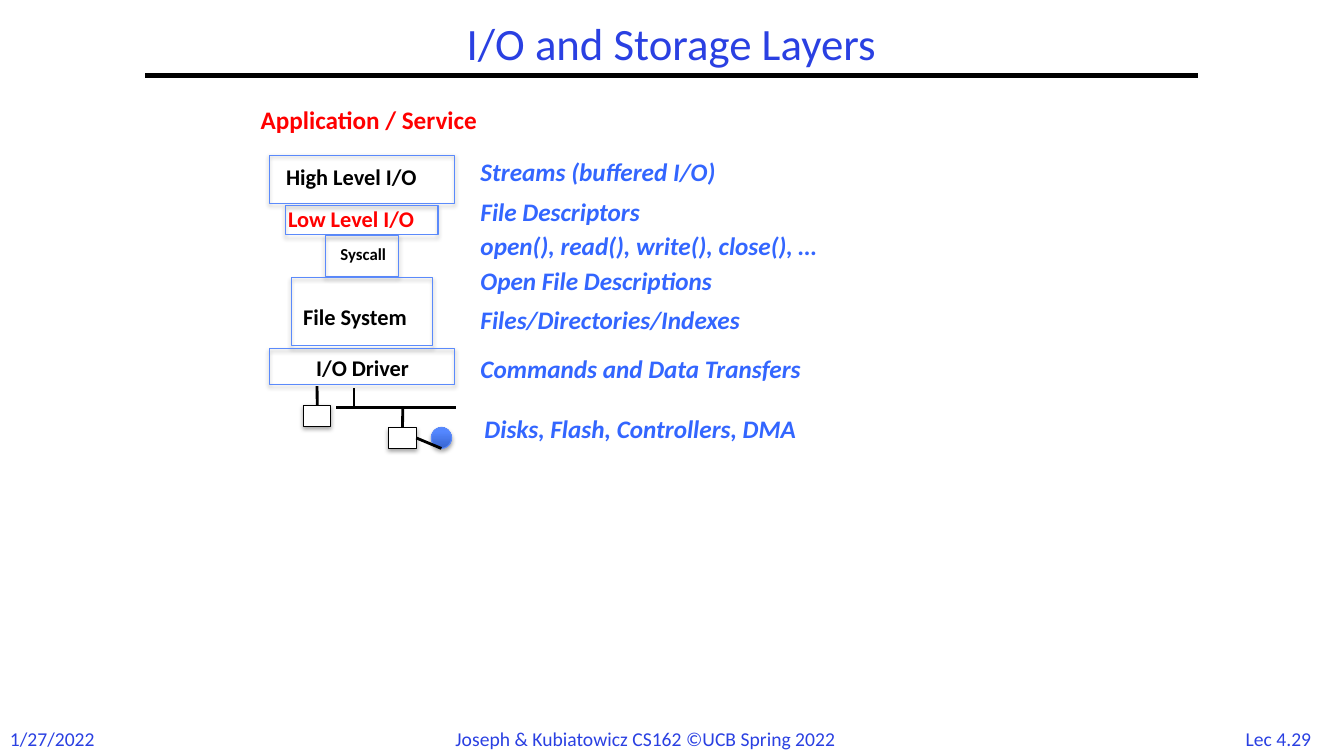
from dataclasses import dataclass

from lxml.etree import SubElement
from pptx import Presentation
from pptx.dml.color import RGBColor
from pptx.enum.shapes import MSO_CONNECTOR, MSO_SHAPE
from pptx.enum.text import MSO_ANCHOR, PP_ALIGN
from pptx.oxml.ns import qn
from pptx.util import Cm, Pt


@dataclass(frozen=True)
class Theme:
    font: str = "Calibri"
    heading: str = "2A40E2"
    ink: str = "000000"
    accent: str = "FF0000"
    note: str = "3366FF"
    outline: str = "5B8AFB"
    paper: str = "FFFFFF"
    disk_dark: str = "3764CE"
    disk_light: str = "5487FF"
    title_size: int = 32
    note_size: int = 18
    layer_size: int = 16
    footer_size: int = 14
    small_size: int = 12


def write(frame, text, *, theme, size, color, bold=False, italic=False,
          align=PP_ALIGN.LEFT, anchor=MSO_ANCHOR.TOP, spacing=1.0):
    frame.word_wrap = True
    frame.vertical_anchor = anchor
    paragraph = frame.paragraphs[0]
    paragraph.text = text
    paragraph.alignment = align
    paragraph.line_spacing = spacing
    font = paragraph.runs[0].font
    font.name = theme.font
    font.size = Pt(size)
    font.bold = bold
    font.italic = italic
    font.color.rgb = RGBColor.from_string(color)


class LayerSlide:
    def __init__(self, deck, theme):
        self.theme = theme
        self.slide = deck.slides.add_slide(deck.slide_layouts[5])

    def title(self, text, left, top, width, height):
        heading = self.slide.shapes.title
        heading.left, heading.top = Cm(left), Cm(top)
        heading.width, heading.height = Cm(width), Cm(height)
        write(heading.text_frame, text, theme=self.theme, size=self.theme.title_size,
              color=self.theme.heading, align=PP_ALIGN.CENTER,
              anchor=MSO_ANCHOR.MIDDLE, spacing=0.9)

    def text(self, text, left, top, width, height=1.0, **style):
        box = self.slide.shapes.add_textbox(Cm(left), Cm(top), Cm(width), Cm(height))
        write(box.text_frame, text, theme=self.theme, **style)

    def block(self, left, top, width, height, line, fill=None, kind=MSO_SHAPE.RECTANGLE):
        block = self.slide.shapes.add_shape(kind, Cm(left), Cm(top), Cm(width), Cm(height))
        if fill is None:
            block.fill.background()
        elif isinstance(fill, tuple):
            block.fill.gradient()
            block.fill.gradient_angle = 90
            for stop, (position, color) in zip(block.fill.gradient_stops, fill):
                stop.position = position
                stop.color.rgb = RGBColor.from_string(color)
        else:
            block.fill.solid()
            block.fill.fore_color.rgb = RGBColor.from_string(fill)
        block.line.color.rgb = RGBColor.from_string(line)
        block.line.width = Pt(0.75)
        self.soft_shadow(block)
        return block

    def soft_shadow(self, block):
        block.shadow.inherit = False
        effects = block.element.spPr.find(qn("a:effectLst"))
        shadow = SubElement(effects, qn("a:outerShdw"), blurRad=str(Pt(3.1)),
                            dist=str(Pt(1.8)), dir="5400000", rotWithShape="0")
        color = SubElement(shadow, qn("a:srgbClr"), val=self.theme.ink)
        SubElement(color, qn("a:alpha"), val="35000")

    def line(self, x1, y1, x2, y2, weight=2, begin=None, end=None):
        line = self.slide.shapes.add_connector(
            MSO_CONNECTOR.STRAIGHT, Cm(x1), Cm(y1), Cm(x2), Cm(y2))
        line.line.color.rgb = RGBColor.from_string(self.theme.ink)
        line.line.width = Pt(weight)
        SubElement(line.element.spPr, qn("a:effectLst"))
        if begin:
            line.begin_connect(*begin)
        if end:
            line.end_connect(*end)


def main():
    theme = Theme()
    deck = Presentation()
    deck.slide_width, deck.slide_height = Cm(33.87), Cm(19.05)
    page = LayerSlide(deck, theme)

    page.title("I/O and Storage Layers", 3.66, 0.43, 26.52, 1.47)
    page.line(3.66, 1.9, 30.2, 1.9, weight=3)

    footers = [
        ("1/27/2022", 0, 2.72, PP_ALIGN.LEFT),
        ("Joseph & Kubiatowicz CS162 ©UCB Spring 2022", 11.23, 11.43, PP_ALIGN.LEFT),
        ("Lec 4.29", 30.99, 2.46, PP_ALIGN.CENTER),
    ]
    for text, left, width, align in footers:
        page.text(text, left, 18.19, width, 0.85, size=theme.footer_size,
                  color=theme.heading, align=align)

    page.text("Application / Service", 6.32, 2.51, 6.81,
              size=theme.note_size, color=theme.accent, bold=True)

    stack_center = 9.12
    layers = [
        ("High Level I/O", 6.96, 3.99, theme.layer_size, theme.ink, 3.91, 4.67, 1.22),
        ("Low Level I/O", 7.01, 5.05, theme.layer_size, theme.accent, 5.18, 3.84, 0.74),
        ("Syscall", 8.33, 6.02, theme.small_size, theme.ink, 5.94, 1.85, 1.02),
        ("File System", 7.39, 7.52, theme.layer_size, theme.ink, 6.99, 3.56, 1.73),
        ("I/O Driver", 7.72, 8.79, theme.layer_size, theme.ink, 8.79, 4.67, 0.89),
    ]
    for name, left, label_top, size, color, top, width, height in layers:
        page.block(stack_center - width / 2, top, width, height, theme.outline)
        page.text(name, left, label_top, 4.4, 0.94, size=size, color=color, bold=True)

    device = (0.69, 0.53)
    direct_device = page.block(7.65, 10.21, *device, theme.ink, theme.paper)
    controller = page.block(9.8, 10.77, *device, theme.ink, theme.paper)
    disk = page.block(10.87, 10.77, 0.51, 0.53, theme.outline,
                      ((0, theme.disk_dark), (0.8, theme.disk_light)), MSO_SHAPE.OVAL)

    bus = 10.26
    page.line(8.48, bus, 11.48, bus)
    page.line(8.92, 9.78, 8.92, bus)
    page.line(7.99, 9.73, 7.99, 10.21, end=(direct_device, 0))
    page.line(10.15, bus, 10.15, 10.77, end=(controller, 0))
    page.line(10.49, 11.04, 10.87, 11.04, begin=(controller, 3), end=(disk, 2))

    notes = [
        ("Streams (buffered I/O)", 11.86, 3.81),
        ("File Descriptors", 11.86, 4.83),
        ("open(), read(), write(), close(), …", 11.86, 5.69),
        ("Open File Descriptions", 11.86, 6.55),
        ("Files/Directories/Indexes", 11.86, 7.54),
        ("Commands and Data Transfers", 11.86, 8.79),
        ("Disks, Flash, Controllers, DMA", 11.96, 10.29),
    ]
    for text, left, top in notes:
        page.text(text, left, top, 10.3, size=theme.note_size, color=theme.note,
                  bold=True, italic=True)

    deck.save("out.pptx")


if __name__ == "__main__":
    main()
